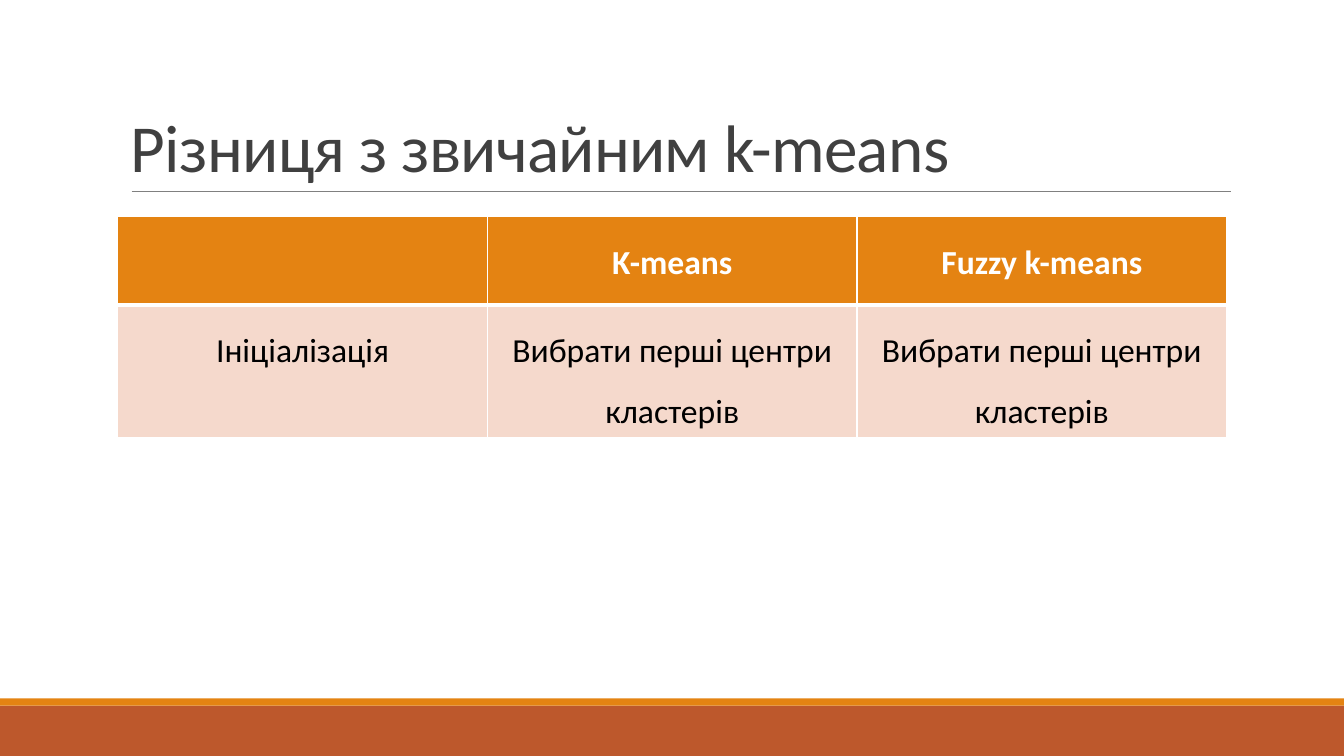
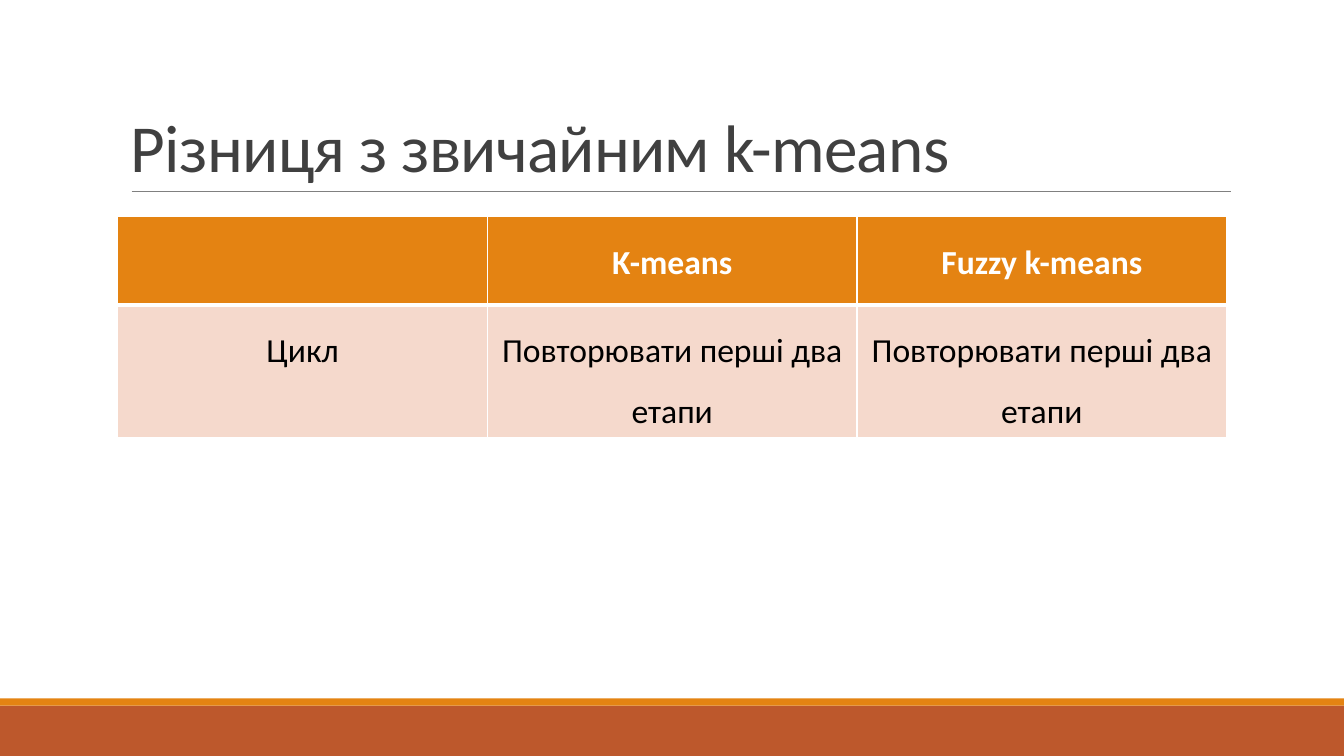
import pptx
import pptx.dml.color
import pptx.enum.shapes
import pptx.enum.text
import pptx.oxml
import pptx.oxml.ns
import pptx.util

Pt = pptx.util.Pt
ALIGN = pptx.enum.text.PP_ALIGN
ANCHOR = pptx.enum.text.MSO_ANCHOR

WIDTH, HEIGHT = 960, 540
TITLE = "Різниця з звичайним k-means"
HEADER = ["", "K-means", "Fuzzy k-means"]
ROWS = [
    ["Ініціалізація"] + ["Вибрати перші центри кластерів"] * 2,
    ["Цикл"] + ["Повторювати перші два етапи"] * 2,
]


def color(value):
    return pptx.dml.color.RGBColor.from_string(value)


class Slides:
    """Shared style and the current slide."""

    FONT = "Calibri"
    ORANGE, RUST, PINK = "E48312", "BD582C", "F5D9CC"
    WHITE, BLACK, DARK, GRAY = "FFFFFF", "000000", "404040", "808080"

    def __init__(self):
        self.deck = pptx.Presentation()
        self.deck.slide_width, self.deck.slide_height = Pt(WIDTH), Pt(HEIGHT)
        self.page = None

    def add_page(self, title):
        self.page = self.deck.slides.add_slide(self.deck.slide_layouts[6])
        self.band(504, 36, self.RUST)
        self.band(498.8, 5.2, self.ORANGE)
        self.rule(94, 879, 136.8)
        self.title(title)

    def band(self, top, height, fill):
        shape = self.page.shapes.add_shape(
            pptx.enum.shapes.MSO_SHAPE.RECTANGLE, 0, Pt(top), Pt(WIDTH), Pt(height))
        shape.shadow.inherit = False
        shape.fill.solid()
        shape.fill.fore_color.rgb = color(fill)
        shape.line.fill.background()

    def rule(self, left, right, top):
        line = self.page.shapes.add_connector(
            pptx.enum.shapes.MSO_CONNECTOR.STRAIGHT, Pt(left), Pt(top), Pt(right), Pt(top))
        line.line.color.rgb = color(self.GRAY)
        line.line.width = Pt(0.5)
        properties = line._element.spPr
        properties.append(properties.makeelement(pptx.oxml.ns.qn("a:effectLst"), {}))

    def style(self, para, size, ink, spacing, bold=False):
        para.line_spacing = spacing
        para.font.name = self.FONT
        para.font.size = Pt(size)
        para.font.bold = bold
        para.font.color.rgb = color(ink)

    def title(self, text):
        box = self.page.shapes.add_textbox(Pt(86.4), Pt(22.5), Pt(792), Pt(114.2))
        frame = box.text_frame
        frame.word_wrap = True
        frame.vertical_anchor = ANCHOR.BOTTOM
        para = frame.paragraphs[0]
        para.text = text
        self.style(para, 48, self.DARK, 0.85)
        # Tighten the letters by half a point
        para.runs[0].font._element.set("spc", "-50") if hasattr(
            para.runs[0].font, "_element") else para.runs[0]._r.get_or_add_rPr().set("spc", "-50")

    def borders(self, cell, bottom):
        properties = cell._tc.get_or_add_tcPr()
        widths = {"lnL": 1, "lnR": 1, "lnT": 1, "lnB": bottom}
        for index, (side, width) in enumerate(widths.items()):
            properties.insert(index, pptx.oxml.parse_xml(
                f'<a:{side} {pptx.oxml.ns.nsdecls("a")} w="{Pt(width)}"><a:solidFill>'
                f'<a:srgbClr val="{self.WHITE}"/></a:solidFill></a:{side}>'))

    def cell(self, cell, text, fill, ink, bold, bottom):
        cell.fill.solid()
        cell.fill.fore_color.rgb = color(fill)
        self.borders(cell, bottom)
        para = cell.text_frame.paragraphs[0]
        para.text = text
        para.alignment = ALIGN.CENTER
        self.style(para, 24, ink, 1.5, bold)

    def table(self, header, row):
        heights = [63, 95]
        table = self.page.shapes.add_table(
            2, len(header), Pt(84.2), Pt(154.8), Pt(792), Pt(sum(heights))).table
        for line, height in zip(table.rows, heights):
            line.height = Pt(height)
        for column, (head, body) in enumerate(zip(header, row)):
            self.cell(table.cell(0, column), head, self.ORANGE, self.WHITE, True, 3)
            self.cell(table.cell(1, column), body, self.PINK, self.BLACK, False, 1)
            # The thick rule under the header belongs to both rows
            top = table.cell(1, column)._tc.tcPr.find(pptx.oxml.ns.qn("a:lnT"))
            top.set("w", str(Pt(3)))


def main():
    slides = Slides()
    for row in ROWS:
        slides.add_page(TITLE)
        slides.table(HEADER, row)
    slides.deck.save("out.pptx")


if __name__ == "__main__":
    main()
